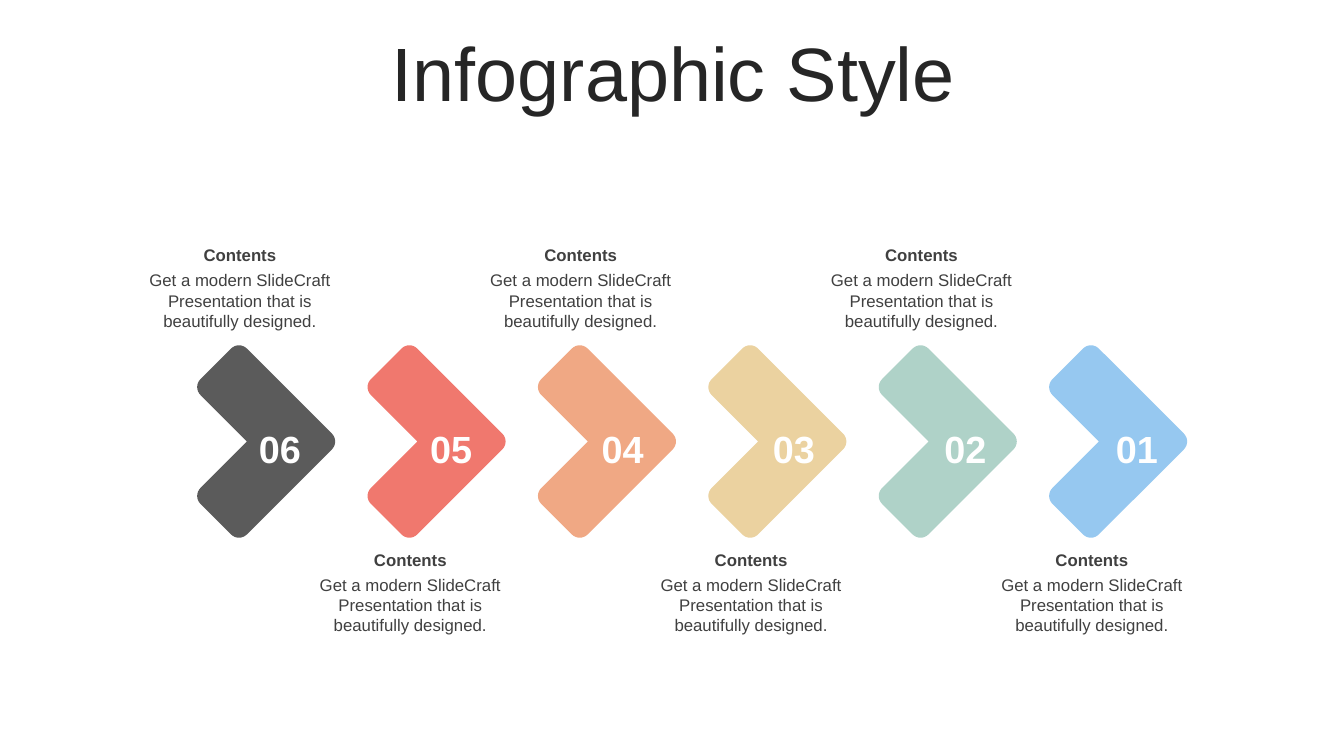
import math

import pptx
import pptx.util
import pptx.dml.color
import pptx.enum.text
from pptx.util import Inches

COLORS = {
    "title": "262626",
    "body": "404040",
    "number": "FFFFFF",
    "06": "5B5B5B",
    "05": "F0786E",
    "04": "F0A884",
    "03": "EBD2A0",
    "02": "AFD2C8",
    "01": "96C8F0",
}
STEPS = ["06", "05", "04", "03", "02", "01"]
HEADING = "Contents"
BODY = "Get a modern SlideCraft Presentation that is beautifully designed."
PITCH = 1.69
NUMBER_PITCH = 1.7
CENTER_Y = 4.38
CORNER_RADIUS = 0.11
CHEVRON = [(0.46, -1), (1.46, 0), (0.46, 1), (0, 0.54), (0.54, 0), (0, -0.54)]
NOTCH = 4


def rgb(name):
    return pptx.dml.color.RGBColor.from_string(COLORS[name])


def format_text(tf, text, size, color, bold=False):
    tf.text = text
    tf.word_wrap = True
    p = tf.paragraphs[0]
    p.alignment = pptx.enum.text.PP_ALIGN.CENTER
    font = p.runs[0].font
    font.name = "Arial"
    font.size = pptx.util.Pt(size)
    font.bold = bold
    font.color.rgb = rgb(color)
    return p


def add_title(s, text):
    sp = s.shapes.title
    sp.left, sp.top = Inches(0.35), Inches(0.37)
    sp.width, sp.height = Inches(12.66), Inches(0.79)
    tf = sp.text_frame
    p = format_text(tf, text, 54, "title")
    p.line_spacing = 0.9
    tf.auto_size = pptx.enum.text.MSO_AUTO_SIZE.NONE
    tf.vertical_anchor = pptx.enum.text.MSO_ANCHOR.MIDDLE


def add_label(s, text, left, top, width, height, size, color, bold=False):
    sp = s.shapes.add_textbox(Inches(left), Inches(top), Inches(width), Inches(height))
    tf = sp.text_frame
    tf.margin_left = tf.margin_top = tf.margin_right = tf.margin_bottom = 0
    format_text(tf, text, size, color, bold)


def toward(start, end):
    dx, dy = end[0] - start[0], end[1] - start[1]
    length = math.hypot(dx, dy)
    return dx / length, dy / length


def rounded_corner(before, corner, after, steps=8):
    u, v = toward(corner, before), toward(corner, after)
    points = []
    for i in range(steps + 1):
        angle = math.pi / 2 * i / steps
        a = CORNER_RADIUS * (1 - math.sin(angle))
        b = CORNER_RADIUS * (1 - math.cos(angle))
        points.append((corner[0] + a * u[0] + b * v[0], corner[1] + a * u[1] + b * v[1]))
    return points


def chevron_outline():
    outline = []
    for i, corner in enumerate(CHEVRON):
        if i == NOTCH:
            outline.append(corner)
        else:
            after = CHEVRON[(i + 1) % len(CHEVRON)]
            outline += rounded_corner(CHEVRON[i - 1], corner, after)
    return outline


def add_chevron(s, left, color):
    points = [(Inches(left + x), Inches(CENTER_Y + y)) for x, y in chevron_outline()]
    builder = s.shapes.build_freeform(*points[0])
    builder.add_line_segments(points[1:], close=True)
    sp = builder.convert_to_shape()
    sp.shadow.inherit = False
    sp.fill.solid()
    sp.fill.fore_color.rgb = rgb(color)
    sp.line.fill.background()


def add_contents(s, left, top):
    add_label(s, HEADING, left, top, 2.2, 0.2, 12, "body", True)
    add_label(s, BODY, left, top + 0.25, 2.2, 0.61, 12, "body")


def main():
    prs = pptx.Presentation()
    prs.slide_width, prs.slide_height = Inches(13.33), Inches(7.5)
    s = prs.slides.add_slide(prs.slide_layouts[5])
    add_title(s, "Infographic Style")
    for i, step in enumerate(STEPS):
        add_chevron(s, 1.91 + i * PITCH, step)
        add_contents(s, 1.28 + i * PITCH, 5.45 if i % 2 else 2.43)
        add_label(s, step, 2.45 + i * NUMBER_PITCH, 4.22, 0.65, 0.45, 27, "number", True)
    prs.save("out.pptx")


if __name__ == "__main__":
    main()
